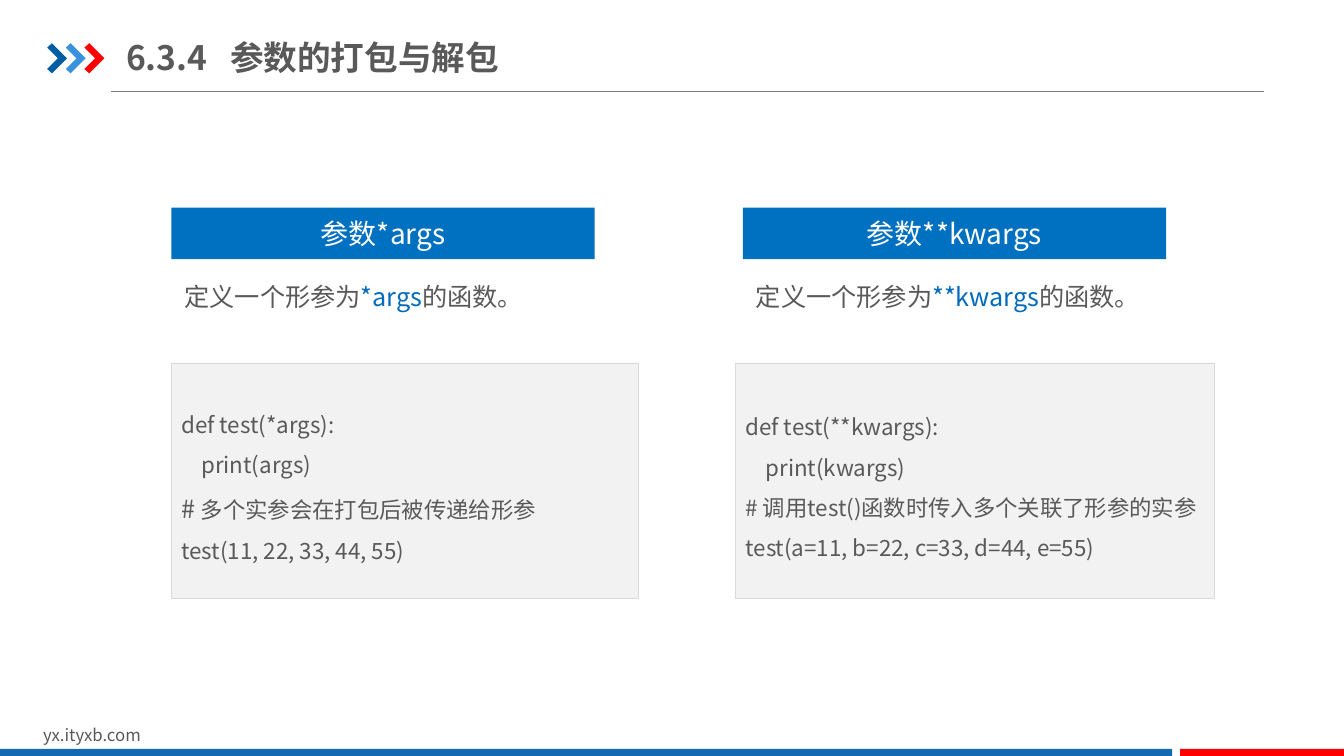
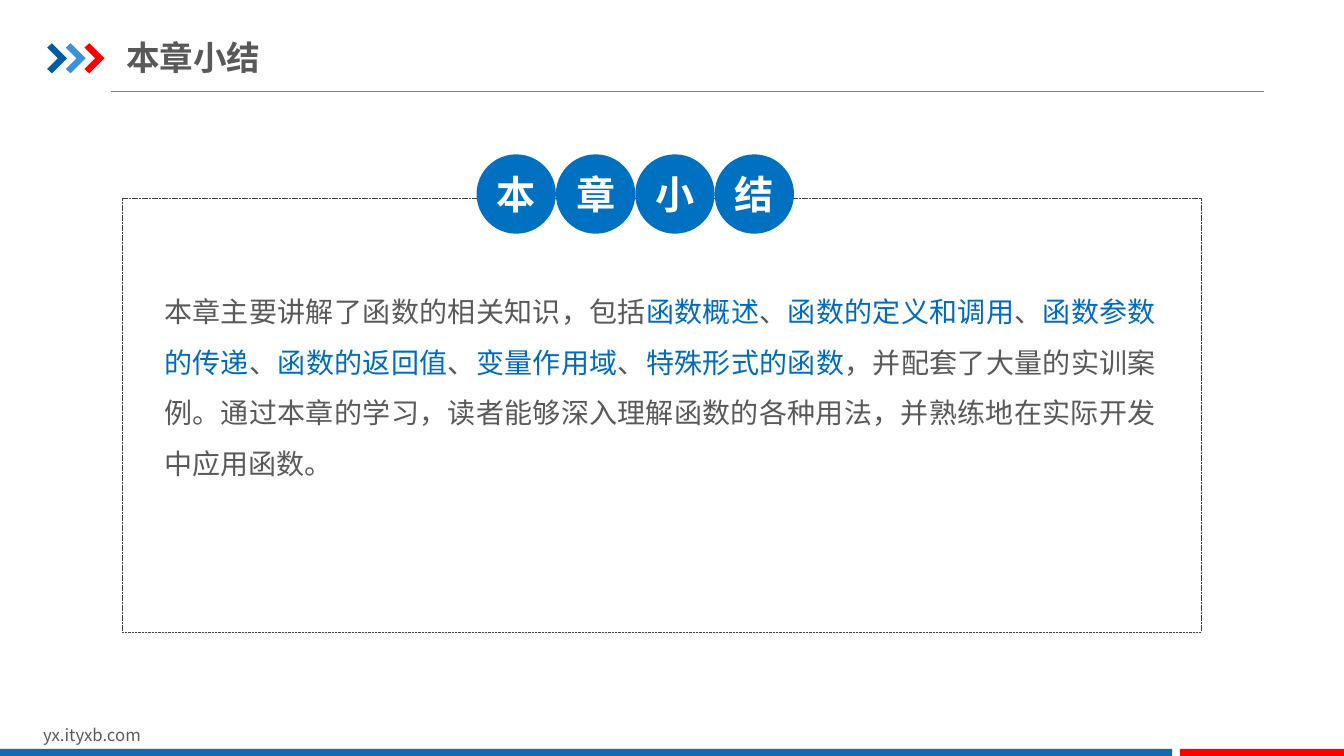
from dataclasses import dataclass
from typing import Optional

from lxml.etree import SubElement
from pptx import Presentation
from pptx.dml.color import RGBColor
from pptx.enum.dml import MSO_LINE
from pptx.enum.shapes import MSO_CONNECTOR, MSO_SHAPE, PP_PLACEHOLDER
from pptx.enum.text import MSO_ANCHOR, MSO_AUTO_SIZE, PP_ALIGN
from pptx.oxml.ns import qn
from pptx.util import Cm, Pt

WHITE = RGBColor(0xFF, 0xFF, 0xFF)
TEXT_GREY = RGBColor(0x59, 0x59, 0x59)
RULE_GREY = RGBColor(0x80, 0x80, 0x80)
FRAME_GREY = RGBColor(0x40, 0x40, 0x40)
CODE_FILL = RGBColor(0xF2, 0xF2, 0xF2)
CODE_LINE = RGBColor(0xD9, 0xD9, 0xD9)
BLUE = RGBColor(0x00, 0x70, 0xC0)
ACCENT_BLUE = RGBColor(0x00, 0x6B, 0xBC)
BAND_BLUE = RGBColor(0x13, 0x69, 0xB2)
DARK_BLUE = RGBColor(0x00, 0x5D, 0xA2)
LIGHT_BLUE = RGBColor(0x39, 0x92, 0xDB)
RED = RGBColor(0xFF, 0x00, 0x00)

FONT = "Noto Sans CJK SC"
SLIDE_WIDTH, SLIDE_HEIGHT = 33.87, 19.05
BAND_TOP, RED_BAND_LEFT, BAND_GAP = 18.87, 29.74, 0.2
CHEVRON = [(0, 0.11), (0.12, 0), (0.5, 0.38), (0.12, 0.76), (0, 0.65), (0.27, 0.38)]
CHEVRON_LEFT, CHEVRON_TOP, CHEVRON_PITCH = 1.19, 1.09, 0.47
CIRCLE_LEFT, CIRCLE_TOP, CIRCLE_SIZE = 12.01, 3.89, 2.0


@dataclass(frozen=True)
class Box:
    """A rectangle on the slide, in centimetres."""

    left: float
    top: float
    width: float
    height: float

    def lengths(self) -> list:
        """Return left, top, width and height as lengths."""
        return [Cm(value) for value in (self.left, self.top, self.width, self.height)]


@dataclass(frozen=True)
class TextStyle:
    """How a text is set; accent is used for every second piece between bars."""

    size: float
    color: RGBColor = TEXT_GREY
    bold: bool = False
    align: PP_ALIGN = PP_ALIGN.LEFT
    anchor: MSO_ANCHOR = MSO_ANCHOR.TOP
    spacing: float = 1.0
    insets: tuple = (0.25, 0.13)
    accent: Optional["TextStyle"] = None


@dataclass(frozen=True)
class Panel:
    """One column explaining a kind of packed parameter."""

    heading: str
    intro: str
    code: str
    left: float
    intro_width: float
    code_left: float
    code_width: float


TITLE = TextStyle(24, bold=True, anchor=MSO_ANCHOR.MIDDLE, insets=(0, 0.18))
FOOTER = TextStyle(12)
HEADING = TextStyle(20, WHITE, align=PP_ALIGN.CENTER, anchor=MSO_ANCHOR.MIDDLE)
INTRO = TextStyle(18, align=PP_ALIGN.JUSTIFY, spacing=1.5, insets=(0.33, 0.18),
                  accent=TextStyle(18, ACCENT_BLUE))
CODE = TextStyle(16, anchor=MSO_ANCHOR.MIDDLE, spacing=1.5, accent=TextStyle(18))
SUMMARY = TextStyle(20, align=PP_ALIGN.JUSTIFY, spacing=1.5, insets=(0, 0),
                    accent=TextStyle(20, ACCENT_BLUE))
CIRCLE = TextStyle(28, WHITE, True, PP_ALIGN.CENTER, MSO_ANCHOR.MIDDLE, insets=(0, 0))

PANELS = [
    Panel(
        "参数*args",
        "定义一个形参为|*args|的函数。",
        "def test(*args):\n    print(args)\n|# |多个实参会在打包后被传递给形参\ntest(11, 22, 33, 44, 55)",
        4.32, 10.67, 4.32, 11.76,
    ),
    Panel(
        "参数**kwargs",
        "定义一个形参为|**kwargs|的函数。",
        "def test(**kwargs):\n    print(kwargs)\n# 调用test()函数时传入多个关联了形参的实参\n"
        "test(a=11, b=22, c=33, d=44, e=55)",
        18.72, 11.0, 18.54, 12.07,
    ),
]
SUMMARY_TEXT = (
    "本章主要讲解了函数的相关知识，包括|函数概述|、|函数的定义和调用|、|函数参数的传递|、"
    "|函数的返回值|、|变量作用域|、|特殊形式的函数|，并配套了大量的实训案例。"
    "通过本章的学习，读者能够深入理解函数的各种用法，并熟练地在实际开发中应用函数。"
)


def write(shape, text: str, style: TextStyle) -> None:
    """Fill a shape with text, switching to the accent style between bars."""
    frame = shape.text_frame
    frame.text = text
    frame.word_wrap = True
    frame.auto_size = MSO_AUTO_SIZE.NONE
    frame.vertical_anchor = style.anchor
    frame.margin_left = frame.margin_right = Cm(style.insets[0])
    frame.margin_top = frame.margin_bottom = Cm(style.insets[1])
    for paragraph in frame.paragraphs:
        pieces = paragraph.text.split("|")
        paragraph.text = ""
        paragraph.alignment = style.align
        paragraph.line_spacing = style.spacing
        for index, piece in enumerate(pieces):
            if not piece:
                continue
            run_style = style.accent if index % 2 and style.accent else style
            run = paragraph.add_run()
            run.text = piece
            run.font.size = Pt(run_style.size)
            run.font.bold = run_style.bold
            run.font.color.rgb = run_style.color
            run.font.name = FONT
    for properties in shape.element.iter(qn("a:rPr")):
        SubElement(properties, qn("a:ea"), typeface=FONT)


def paint(shape, fill: Optional[RGBColor], line: Optional[RGBColor] = None) -> None:
    """Give a shape a flat fill and a hairline, or neither."""
    shape.shadow.inherit = False
    if fill is None:
        shape.fill.background()
    else:
        shape.fill.solid()
        shape.fill.fore_color.rgb = fill
    if line is None:
        shape.line.fill.background()
    else:
        shape.line.color.rgb = line
        shape.line.width = Pt(0.25)


def add_block(slide, box: Box, fill: Optional[RGBColor],
              line: Optional[RGBColor] = None, kind=MSO_SHAPE.RECTANGLE):
    """Add a painted preset shape."""
    shape = slide.shapes.add_shape(kind, *box.lengths())
    paint(shape, fill, line)
    return shape


def add_text(slide, box: Box, text: str, style: TextStyle):
    """Add a text box."""
    shape = slide.shapes.add_textbox(*box.lengths())
    write(shape, text, style)
    return shape


def add_chevron(slide, left: float, color: RGBColor):
    """Add one arrow-like mark beside the title."""
    points = [(Cm(left + x), Cm(CHEVRON_TOP + y)) for x, y in CHEVRON]
    builder = slide.shapes.build_freeform(*points[0])
    builder.add_line_segments(points[1:], close=True)
    shape = builder.convert_to_shape()
    paint(shape, color)
    return shape


def add_rule(slide):
    """Add the line under the title."""
    rule = slide.shapes.add_connector(
        MSO_CONNECTOR.STRAIGHT, Cm(2.79), Cm(2.31), Cm(31.85), Cm(2.31))
    rule.line.color.rgb = RULE_GREY
    rule.line.width = Pt(0.75)
    SubElement(rule.element.find(qn("p:spPr")), qn("a:effectLst"))
    return rule


def prepare_layout(layout) -> None:
    """Keep only the title placeholder and set its place."""
    for placeholder in list(layout.placeholders):
        if placeholder.placeholder_format.type == PP_PLACEHOLDER.TITLE:
            box = Box(3.18, 0.74, 15.75, 1.4).lengths()
            placeholder.left, placeholder.top, placeholder.width, placeholder.height = box
        else:
            layout.shapes.element.remove(placeholder.element)


def move_furniture_to_layout(slide, layout) -> None:
    """Draw rule, chevrons, footer and bands, then hand them to the layout."""
    furniture = [add_rule(slide)]
    for index, color in enumerate((DARK_BLUE, LIGHT_BLUE, RED)):
        furniture.append(add_chevron(slide, CHEVRON_LEFT + index * CHEVRON_PITCH, color))
    furniture.append(add_text(slide, Box(0.84, 18.14, 8.08, 0.76), "yx.ityxb.com", FOOTER))
    band_height = SLIDE_HEIGHT - BAND_TOP
    for left, width, color in (
        (0, RED_BAND_LEFT - BAND_GAP, BAND_BLUE),
        (RED_BAND_LEFT, SLIDE_WIDTH - RED_BAND_LEFT, RED),
    ):
        furniture.append(add_block(slide, Box(left, BAND_TOP, width, band_height), color))
    for shape in furniture:
        layout.shapes.element.append(shape.element)


def add_titled_slide(presentation, layout, title: str):
    """Add a slide whose title may hold a tab after its section number."""
    slide = presentation.slides.add_slide(layout)
    write(slide.shapes.title, title, TITLE)
    for properties in slide.shapes.title.element.iter(qn("a:pPr")):
        tabs = SubElement(properties, qn("a:tabLst"))
        SubElement(tabs, qn("a:tab"), pos=str(Cm(2.62)), algn="l")
    return slide


def add_panel(slide, panel: Panel) -> None:
    """Add the heading, introduction and code of one column."""
    heading = add_block(slide, Box(panel.left, 5.23, 10.67, 1.3), BLUE)
    write(heading, panel.heading, HEADING)
    add_text(slide, Box(panel.left, 6.53, panel.intro_width, 1.37), panel.intro, INTRO)
    code = add_block(
        slide, Box(panel.code_left, 9.14, panel.code_width, 5.94), CODE_FILL, CODE_LINE)
    write(code, panel.code, CODE)


def add_summary(slide) -> None:
    """Add the dashed frame, its text and the circled heading."""
    frame = add_block(slide, Box(3.07, 5.0, 27.2, 10.92), None, FRAME_GREY)
    frame.line.dash_style = MSO_LINE.SQUARE_DOT
    add_text(slide, Box(4.14, 7.01, 24.99, 4.98), SUMMARY_TEXT, SUMMARY)
    for index, character in enumerate("本章小结"):
        left = CIRCLE_LEFT + index * CIRCLE_SIZE
        box = Box(left, CIRCLE_TOP, CIRCLE_SIZE, CIRCLE_SIZE)
        write(add_block(slide, box, BLUE, kind=MSO_SHAPE.OVAL), character, CIRCLE)


def main() -> None:
    """Build and save the presentation."""
    presentation = Presentation()
    presentation.slide_width = Cm(SLIDE_WIDTH)
    presentation.slide_height = Cm(SLIDE_HEIGHT)
    layout = presentation.slide_layouts.get_by_name("Title Only")
    prepare_layout(layout)

    packing_slide = add_titled_slide(presentation, layout, "6.3.4\t参数的打包与解包")
    move_furniture_to_layout(packing_slide, layout)
    for panel in PANELS:
        add_panel(packing_slide, panel)

    add_summary(add_titled_slide(presentation, layout, "本章小结"))
    presentation.save("out.pptx")


if __name__ == "__main__":
    main()
